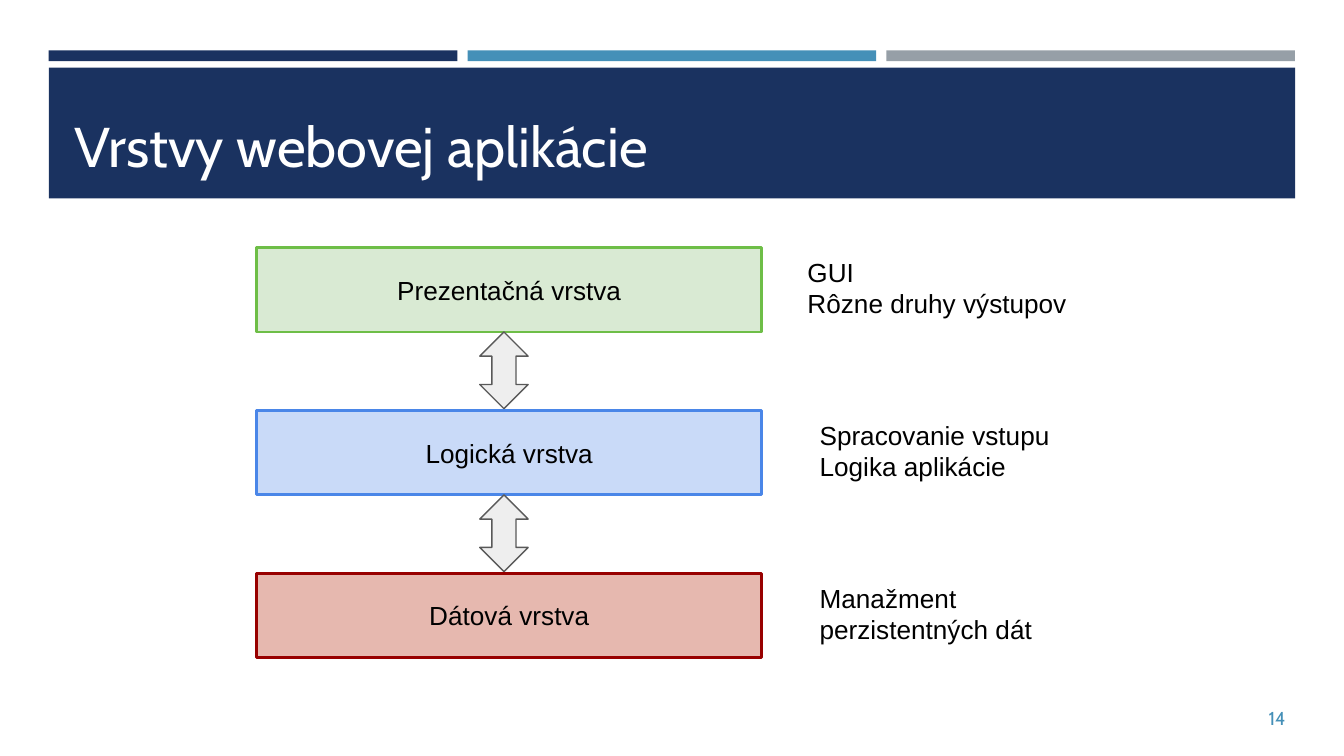
from dataclasses import dataclass

from pptx import Presentation
from pptx.dml.color import RGBColor
from pptx.enum.shapes import MSO_SHAPE as Shape
from pptx.enum.text import MSO_ANCHOR as Anchor, MSO_AUTO_SIZE as AutoSize, PP_ALIGN as Align
from pptx.util import Inches, Pt

# Widescreen, 16 to 9
SLIDE_WIDTH = Inches(10)
SLIDE_HEIGHT = SLIDE_WIDTH * 9 // 16


@dataclass(frozen=True)
class Theme:
    navy: str = "1A3260"
    blue: str = "4590B8"
    gray: str = "969FA7"
    white: str = "FFFFFF"
    black: str = "000000"
    arrow_fill: str = "EEEEEE"
    arrow_line: str = "595959"
    heading_font: str = "Cabin"
    body_font: str = "Arial"
    title_size: int = 30
    body_size: int = 14
    number_size: int = 10


THEME = Theme()


@dataclass(frozen=True)
class Box:
    """A region in percent of the slide's width and height."""
    left: float
    top: float
    width: float
    height: float

    def place(self):
        return (int(SLIDE_WIDTH * self.left / 100), int(SLIDE_HEIGHT * self.top / 100),
                int(SLIDE_WIDTH * self.width / 100), int(SLIDE_HEIGHT * self.height / 100))


# Layer name, fill, line, explanation, left edge of the explanation
LAYERS = [
    ("Prezentačná vrstva", "D9EAD3", "6EBE47", ["GUI", "Rôzne druhy výstupov"], 59.1),
    ("Logická vrstva", "C9DAF8", "4A86E8", ["Spracovanie vstupu", "Logika aplikácie"], 60),
    ("Dátová vrstva", "E6B8AF", "980000", ["Manažment perzistentných dát"], 60),
]


def add_block(slide, kind, box, fill, line=None, line_width=0.75):
    shape = slide.shapes.add_shape(kind, *box.place())
    shape.shadow.inherit = False
    shape.fill.solid()
    shape.fill.fore_color.rgb = RGBColor.from_string(fill)
    if line:
        shape.line.color.rgb = RGBColor.from_string(line)
        shape.line.width = Pt(line_width)
    else:
        shape.line.fill.background()
    return shape


def write(shape, lines, font, size, color, align=Align.LEFT, anchor=Anchor.TOP,
          margins=(0.1, 0.1)):
    frame = shape.text_frame
    frame.word_wrap = True
    frame.auto_size = AutoSize.NONE
    frame.vertical_anchor = anchor
    frame.margin_left = frame.margin_right = Inches(margins[0])
    frame.margin_top = frame.margin_bottom = Inches(margins[1])
    frame.text = "\n".join(lines)
    for paragraph in frame.paragraphs:
        paragraph.alignment = align
        paragraph.font.name = font
        paragraph.font.size = Pt(size)
        paragraph.font.color.rgb = RGBColor.from_string(color)


def add_header(slide, box, title_text):
    # Three accent bars
    gap = 0.75
    bar_width = (box.width - 2 * gap) / 3
    for column, color in enumerate((THEME.navy, THEME.blue, THEME.gray)):
        left = box.left + column * (bar_width + gap)
        add_block(slide, Shape.RECTANGLE, Box(left, box.top, bar_width, 1.42), color)

    # Title band
    band_height = 17.3
    band_top = box.top + box.height - band_height
    add_block(slide, Shape.RECTANGLE, Box(box.left, band_top, box.width, band_height), THEME.navy)

    # Title, brought in front of the band
    title = slide.shapes.title
    title.left, title.top, title.width, title.height = Box(
        box.left + 1.2, band_top + 1.3, box.width - 2.3, 14.7).place()
    write(title, [title_text], THEME.heading_font, THEME.title_size, THEME.white,
          anchor=Anchor.BOTTOM, margins=(0.07, 0.07))
    slide.shapes.element.append(title.element)


def add_layers(slide, box):
    layer_height, note_height = 11.2, 12.4
    arrow_width, arrow_height = 3.6, 10.15
    pitch = (box.height - layer_height) / (len(LAYERS) - 1)

    for row, (name, fill, line, note_lines, note_left) in enumerate(LAYERS):
        top = box.top + row * pitch

        # Layer
        layer = add_block(slide, Shape.RECTANGLE, Box(box.left, top, box.width, layer_height),
                          fill, line, 1.5)
        write(layer, [name], THEME.body_font, THEME.body_size, THEME.black,
              Align.CENTER, Anchor.MIDDLE)

        # Explanation, centred on the layer's height
        note_top = top + (layer_height - note_height) / 2
        note = slide.shapes.add_textbox(*Box(note_left, note_top, 25, note_height).place())
        write(note, note_lines, THEME.body_font, THEME.body_size, THEME.black)

        # Arrow to the next layer
        if row < len(LAYERS) - 1:
            arrow_left = box.left + (box.width - arrow_width) / 2 - 0.4
            add_block(slide, Shape.UP_DOWN_ARROW,
                      Box(arrow_left, top + layer_height, arrow_width, arrow_height),
                      THEME.arrow_fill, THEME.arrow_line)


def add_slide_number(slide, box, number):
    text_box = slide.shapes.add_textbox(*box.place())
    write(text_box, [number], THEME.heading_font, THEME.number_size, THEME.blue,
          Align.RIGHT, Anchor.MIDDLE, margins=(0.07, 0.04))


def main():
    presentation = Presentation()
    presentation.slide_width, presentation.slide_height = SLIDE_WIDTH, SLIDE_HEIGHT
    slide = presentation.slides.add_slide(presentation.slide_layouts[5])
    add_header(slide, Box(3.63, 6.67, 92.73, 19.58), "Vrstvy webovej aplikácie")
    add_layers(slide, Box(19.1, 32.72, 37.6, 54.3))
    add_slide_number(slide, Box(93, 92.3, 3.35, 5.3), "14")
    presentation.save("out.pptx")


if __name__ == "__main__":
    main()
